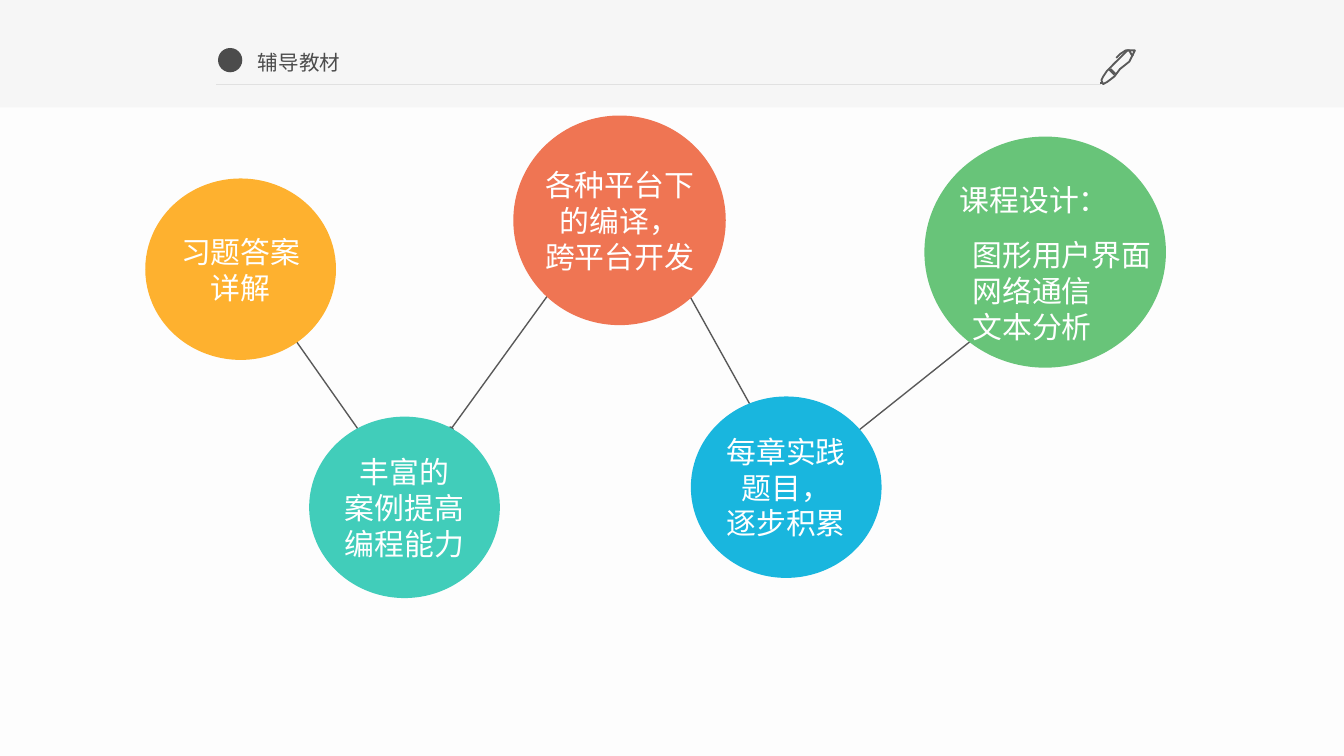
from lxml import etree
from pptx import Presentation
from pptx import util as u
from pptx.dml.color import RGBColor
from pptx.enum import shapes, text
from pptx.oxml import ns

PAPER = RGBColor(0xFD, 0xFD, 0xFD)
BAND = RGBColor(0xF6, 0xF6, 0xF6)
RULE = RGBColor(0xE1, 0xE1, 0xE1)
GREY = RGBColor(0x59, 0x59, 0x59)
DARK = RGBColor(0x4C, 0x4C, 0x4C)
WHITE = RGBColor(0xFF, 0xFF, 0xFF)
AMBER = RGBColor(0xFE, 0xB1, 0x2F)
TEAL = RGBColor(0x41, 0xCD, 0xBA)
CORAL = RGBColor(0xEF, 0x75, 0x53)
BLUE = RGBColor(0x19, 0xB6, 0xDE)
GREEN = RGBColor(0x68, 0xC4, 0x79)
LATO, NOTO = "Lato", "Noto Sans CJK SC"

LINKS = [
    (438.5, 247.7, 523.4, 180),
    (157.7, 181.4, 212.4, 259.2),
    (241.2, 230.4, 298.1, 151.9),
    (365.8, 151.9, 419, 247.7),
]
CIRCLES = [
    ((77.8, 95.6, 102.2, 97.2), AMBER, ["习题答案详解"], LATO),
    ((165.6, 223.2, 102.2, 97.2), TEAL, ["丰富的", "案例提高编程能力"], LATO),
    ((275, 61.9, 113.8, 112.3), CORAL, ["各种平台下的编译，", "跨平台开发"], LATO),
    ((370.1, 212.4, 102.2, 97.2), BLUE, ["每章实践题目，", "逐步积累"], NOTO),
]
PEN_STROKES = [
    [(596.9, 40.3), (594, 37.4)],
    [(594.7, 36.7), (598.3, 39.6)],
    [(607.7, 27.4), (606.2, 26.7), (603.8, 27.4), (600.6, 29.9), (596.9, 33.8),
     (593.2, 38), (591, 41.3), (590.3, 43.4), (591.1, 44.6), (593.4, 43.5),
     (596.7, 41), (600.5, 37.4), (604.6, 33), (607, 29.3), (607.7, 27.4)],
    [(590.4, 43.9), (589.7, 45.4)],
    [(607, 29.5), (606.4, 28.6), (604.8, 27.4), (602.8, 27.3), (600.4, 28.7),
     (597.6, 31)],
]


def write(frame, lines, font=NOTO, size=16, color=WHITE, align=text.PP_ALIGN.LEFT,
          anchor=text.MSO_ANCHOR.TOP, insets=(0, 3, 0, 3), wrap=True):
    """Fill a text frame with one paragraph per line."""
    frame.word_wrap = wrap
    frame.vertical_anchor = anchor
    (frame.margin_left, frame.margin_top,
     frame.margin_right, frame.margin_bottom) = map(u.Pt, insets)
    for index, line in enumerate(lines):
        para = frame.add_paragraph() if index else frame.paragraphs[0]
        para.alignment = align
        span = para.add_run()
        span.text = line
        span.font.name = font
        span.font.size = u.Pt(size)
        span.font.color.rgb = color


class Painter:
    """Hold the current slide and draw styled elements on it."""

    def __init__(self, page):
        self.page = page
        self.line_width = u.Pt(0.75)

    def shape(self, box, fill, kind=shapes.MSO_SHAPE.OVAL):
        item = self.page.shapes.add_shape(kind, *map(u.Pt, box))
        item.shadow.inherit = False
        item.fill.solid()
        item.fill.fore_color.rgb = fill
        item.line.fill.background()
        return item

    def line(self, ends, color, dots=False):
        item = self.page.shapes.add_connector(
            shapes.MSO_CONNECTOR.STRAIGHT, *map(u.Pt, ends))
        item.line.color.rgb = color
        item.line.width = self.line_width
        if dots:
            outline = item.line._get_or_add_ln()
            for tag in ("a:headEnd", "a:tailEnd"):
                etree.SubElement(outline, ns.qn(tag), type="oval", w="sm", len="sm")
        etree.SubElement(item._element.spPr, ns.qn("a:effectLst"))

    def label(self, box, lines, **style):
        item = self.page.shapes.add_textbox(*map(u.Pt, box))
        write(item.text_frame, lines, **style)

    def sketch(self, strokes, color):
        builder = self.page.shapes.build_freeform(*strokes[0][0], scale=u.Pt(1))
        for index, stroke in enumerate(strokes):
            if index:
                builder.move_to(*stroke[0])
            builder.add_line_segments(stroke[1:], close=False)
        item = builder.convert_to_shape()
        item.shadow.inherit = False
        item.fill.background()
        item.line.color.rgb = color
        item.line.width = u.Pt(1)


def main():
    deck = Presentation()
    deck.slide_width, deck.slide_height = u.Pt(720), u.Pt(405)
    page = deck.slides.add_slide(deck.slide_layouts[6])
    page.background.fill.solid()
    page.background.fill.fore_color.rgb = PAPER
    painter = Painter(page)

    painter.shape((0, 0, 720, 57.6), BAND, shapes.MSO_SHAPE.RECTANGLE)
    for ends in LINKS:
        painter.line(ends, GREY, dots=True)
    for box, fill, lines, font in CIRCLES:
        circle = painter.shape(box, fill)
        write(circle.text_frame, lines, font=font,
              align=text.PP_ALIGN.CENTER, anchor=text.MSO_ANCHOR.MIDDLE)

    design = painter.shape((495.2, 73.2, 129.4, 123.8), GREEN)
    write(design.text_frame, ["课程设计："], font=LATO, insets=(0, 6, 0, 3))
    painter.label((478.1, 123.8, 149.8, 82.8), ["图形用户界面", "网络通信", "文本分析"],
                  insets=(43, 3, 5, 3))

    painter.label((133.2, 23.8, 55.4, 18.7), ["辅导教材"], size=11, color=DARK,
                  insets=(5, 3, 5, 3), wrap=False)
    painter.sketch(PEN_STROKES, GREY)
    painter.shape((116.8, 25.7, 13, 13), DARK)
    painter.line((115.9, 45.2, 589.7, 45.2), RULE)
    deck.save("out.pptx")


if __name__ == "__main__":
    main()
